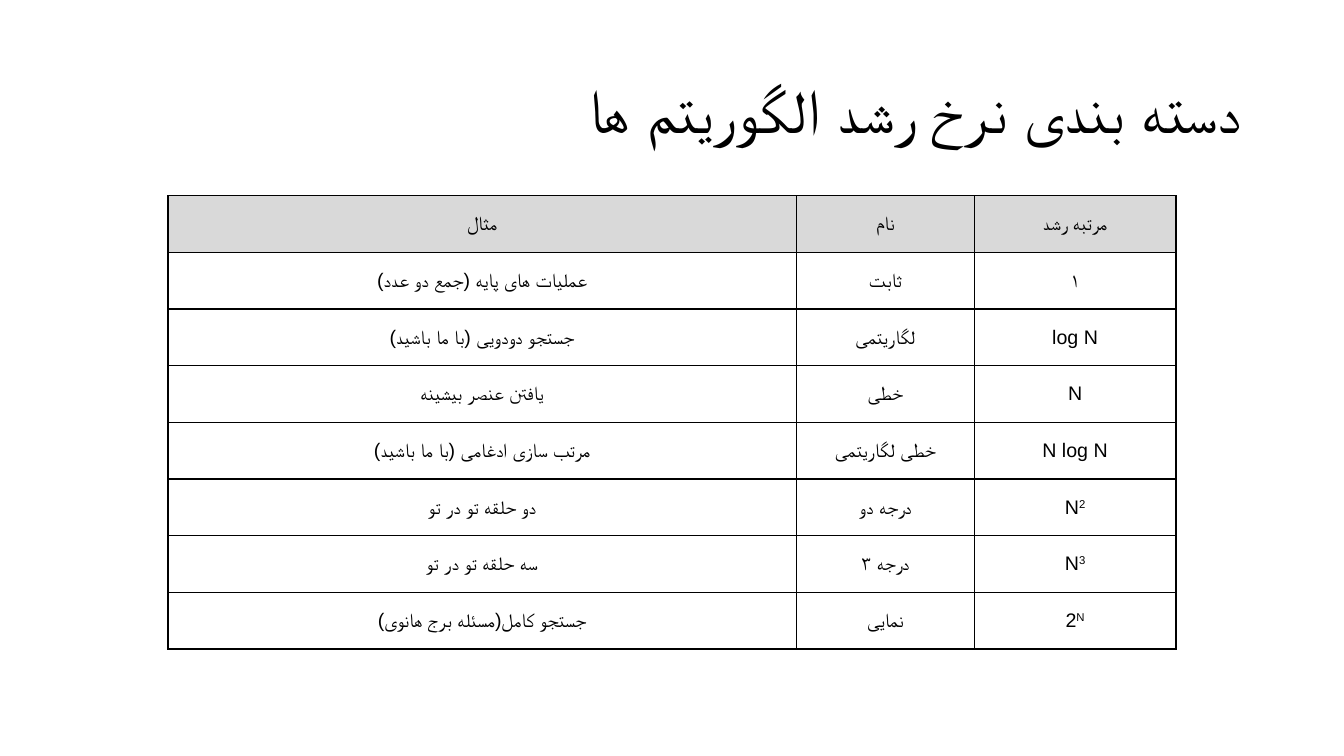
from lxml.etree import SubElement
from pptx import Presentation
from pptx.dml.color import RGBColor
from pptx.enum.text import MSO_ANCHOR as Anchor, PP_ALIGN as Align
from pptx.oxml.ns import qn
from pptx.util import Inches, Pt

COLUMNS, ROWS = 160, 40
HEADER = ("مثال", "نام", "مرتبه رشد")
GROWTH_ORDERS = (
    ("عملیات های پایه (جمع دو عدد)", "ثابت", "۱"),
    ("جستجو دودویی (با ما باشید)", "لگاریتمی", "log N"),
    ("یافتن عنصر بیشینه", "خطی", "N"),
    ("مرتب سازی ادغامی (با ما باشید)", "خطی لگاریتمی", "N log N"),
    ("دو حلقه تو در تو", "درجه دو", "N^2"),
    ("سه حلقه تو در تو", "درجه ۳", "N^3"),
    ("جستجو کامل(مسئله برج هانوی)", "نمایی", "2^N"),
)


def color(value):
    return RGBColor.from_string(value)


def apply(target, formats):
    for name, value in formats.items():
        setattr(target, name, value)


class GrowthSlide:
    """Holds the style and the slide, and draws elements on its grid."""

    font_name, ink, header_fill = "Arial", "000000", "D9D9D9"
    cell_format = {
        "vertical_anchor": Anchor.MIDDLE,
        "margin_left": Inches(0.07),
        "margin_right": Inches(0.07),
        "margin_top": Inches(0.04),
        "margin_bottom": Inches(0.04),
    }

    def __init__(self, presentation):
        self.column = presentation.slide_width / COLUMNS
        self.row = presentation.slide_height / ROWS
        self.slide = presentation.slides.add_slide(presentation.slide_layouts[6])

    def place(self, left, top, width, height):
        return (round(left * self.column), round(top * self.row),
                round(width * self.column), round(height * self.row))

    def fill_text(self, paragraph, text, size, **formats):
        apply(paragraph, formats)
        if not text.isascii():
            paragraph._p.get_or_add_pPr().set("rtl", "1")
        base, _, exponent = text.partition("^")
        for part, baseline in ((base, None), (exponent, "30000")):
            if not part:
                continue
            run = paragraph.add_run()
            run.text = part
            apply(run.font, {"name": self.font_name, "size": Pt(size), "bold": False})
            run.font.color.rgb = color(self.ink)
            properties = run._r.get_or_add_rPr()
            SubElement(properties, qn("a:cs"), typeface=self.font_name)
            if baseline:
                properties.set("baseline", baseline)

    def title(self, text, *grid):
        frame = self.slide.shapes.add_textbox(*self.place(*grid)).text_frame
        apply(frame, {"word_wrap": True, "vertical_anchor": Anchor.MIDDLE})
        self.fill_text(frame.paragraphs[0], text, 44,
                       alignment=Align.RIGHT, line_spacing=0.9)

    def border(self, cell):
        properties = cell._tc.get_or_add_tcPr()
        for side in ("lnL", "lnR", "lnT", "lnB"):
            line = SubElement(properties, qn(f"a:{side}"), w=str(Pt(1)))
            fill = SubElement(line, qn("a:solidFill"))
            SubElement(fill, qn("a:srgbClr"), val=self.ink)

    def cell(self, cell, text, fill):
        apply(cell, self.cell_format)
        self.border(cell)
        if fill:
            cell.fill.solid()
            cell.fill.fore_color.rgb = color(fill)
        else:
            cell.fill.background()
        self.fill_text(cell.text_frame.paragraphs[0], text, 14, alignment=Align.CENTER)

    def table(self, rows, left, top, widths, row_height):
        grid = self.place(left, top, sum(widths), row_height * len(rows))
        table = self.slide.shapes.add_table(len(rows), len(widths), *grid).table
        apply(table, {"first_row": False, "horz_banding": False})
        for column, width in zip(table.columns, widths):
            column.width = round(width * self.column)
        for index, texts in enumerate(rows):
            table.rows[index].height = round(row_height * self.row)
            for position, text in enumerate(texts):
                self.cell(table.cell(index, position), text,
                          None if index else self.header_fill)


def main():
    presentation = Presentation()
    apply(presentation, {"slide_width": Inches(13.33), "slide_height": Inches(7.5)})
    slide = GrowthSlide(presentation)
    slide.title("دسته بندی نرخ رشد الگوریتم ها", 11, 2.13, 138, 7.73)
    slide.table((HEADER, *GROWTH_ORDERS), 20, 10.35, (74.8, 21.2, 24), 3)
    presentation.save("out.pptx")


if __name__ == "__main__":
    main()
